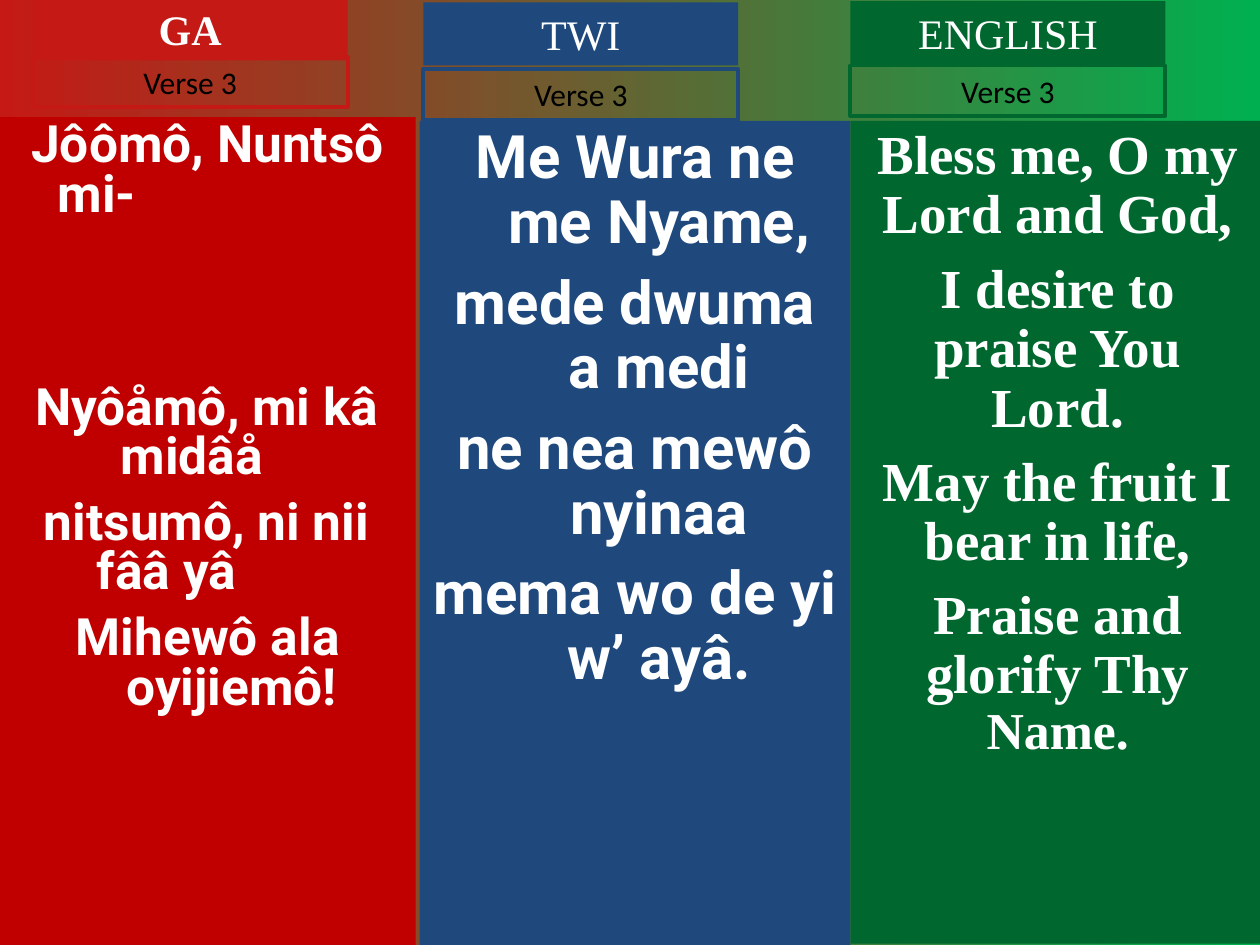
from dataclasses import dataclass

from pptx import Presentation
from pptx.dml.color import RGBColor
from pptx.enum.shapes import MSO_SHAPE
from pptx.enum.text import MSO_ANCHOR, PP_ALIGN
from pptx.util import Inches, Pt

RECTANGLE = MSO_SHAPE.RECTANGLE
TOP = MSO_ANCHOR.TOP
CENTER, LEFT = PP_ALIGN.CENTER, PP_ALIGN.LEFT


@dataclass(frozen=True)
class Theme:
    white: str = "FFFFFF"
    black: str = "000000"
    red: str = "C00000"
    label_red: str = "C51915"
    blue: str = "1F497D"
    green: str = "00682F"
    bright_green: str = "00B050"
    sans: str = "Roboto"
    serif: str = "Times New Roman"
    caption: str = "Calibri"
    heading_size: float = 24
    verse_size: float = 18
    border: float = 2.25


THEME = Theme()
LABEL_WIDTH, HEADING_HEIGHT, VERSE_HEIGHT = 2.5, 0.5, 0.4
HANG = 0.38


@dataclass
class Line:
    """One sung line: text, its wrapped-line margin and first-line start."""
    text: str
    margin: float = 0
    start: float = 0
    align: PP_ALIGN = CENTER
    before: float = None
    ending: str = ""
    ending_size: float = None


LANGUAGES = [
    dict(
        name="GA", bold=True, box=(0, 0.93, 3.3, 6.57),
        label_left=0.26, heading_top=-0.02, verse_top=0.45,
        fill=THEME.red, label=THEME.label_red,
        font=THEME.sans, size=29.4, spacing=0.8, before=9.5,
        lines=[
            Line("Jôômô, Nuntsô mi-", 0.36, 0.15, LEFT),
            Line("Nyôåmô, mi kâ midâå", 0.86, 0.18, LEFT, before=93.5),
            Line("nitsumô, ni nii fââ yâ", 0.67, 0.25, LEFT),
            Line("Mihewô ala oyijiemô!", HANG),
        ],
    ),
    dict(
        name="TWI", bold=False, box=(3.33, 0.96, 3.42, 6.54),
        label_left=3.36, heading_top=0.02, verse_top=0.55,
        fill=THEME.blue, label=THEME.blue,
        font=THEME.sans, size=34.2, spacing=0.9, before=9.2,
        lines=[
            Line("Me Wura ne me Nyame,", HANG),
            Line("mede dwuma a medi", HANG),
            Line("ne nea mewô nyinaa", HANG),
            Line("mema wo de yi w’ ayâ.", HANG),
        ],
    ),
    dict(
        name="ENGLISH", bold=False, box=(6.75, 0.96, 3.29, 6.53),
        label_left=6.75, heading_top=0.01, verse_top=0.52,
        fill=THEME.green, label=THEME.green,
        font=THEME.serif, size=31.4, spacing=0.9, before=8.5,
        lines=[
            Line("Bless me, O my Lord and God,"),
            Line("I desire to praise You Lord."),
            Line("May the fruit I bear in life,"),
            Line("Praise and glorify Thy ", before=8,
                 ending="Name.", ending_size=29.6),
        ],
    ),
]


def add_panel(slide, box, fill=None, border=None):
    """Add a rectangle and return its text frame."""
    panel = slide.shapes.add_shape(RECTANGLE, *map(Inches, box))
    panel.shadow.inherit = False
    if fill:
        panel.fill.solid()
        panel.fill.fore_color.rgb = RGBColor.from_string(fill)
    else:
        panel.fill.background()
    if border:
        panel.line.color.rgb = RGBColor.from_string(border)
        panel.line.width = Pt(THEME.border)
    else:
        panel.line.fill.background()
    frame = panel.text_frame
    frame.word_wrap = True
    frame.vertical_anchor = TOP
    return frame


def add_run(paragraph, text, color, **font_format):
    run = paragraph.add_run()
    run.text = text
    run.font.color.rgb = RGBColor.from_string(color)
    for attribute, value in font_format.items():
        setattr(run.font, attribute, value)


def add_label(slide, box, text, color, fill=None, border=None, **font_format):
    paragraph = add_panel(slide, box, fill, border).paragraphs[0]
    paragraph.alignment = CENTER
    add_run(paragraph, text, color, **font_format)


def add_lyrics(slide, language):
    frame = add_panel(slide, language["box"], language["fill"])
    for number, line in enumerate(language["lines"]):
        paragraph = frame.add_paragraph() if number else frame.paragraphs[0]
        paragraph.alignment = line.align
        paragraph.line_spacing = language["spacing"]
        paragraph.space_before = Pt((line.before or language["before"]) if number else 0)
        properties = paragraph._p.get_or_add_pPr()
        properties.set("marL", str(Inches(line.margin)))
        properties.set("indent", str(Inches(line.start - line.margin)))
        style = dict(name=language["font"], bold=True)
        add_run(paragraph, line.text, THEME.white, size=Pt(language["size"]), **style)
        if line.ending:
            add_run(paragraph, line.ending, THEME.white, size=Pt(line.ending_size), **style)


def add_language(slide, language):
    """Place one language column: lyrics, heading and verse label."""
    add_lyrics(slide, language)
    left = language["label_left"]
    add_label(slide, (left, language["heading_top"], LABEL_WIDTH, HEADING_HEIGHT),
              language["name"], THEME.white, fill=language["label"],
              name=THEME.serif, size=Pt(THEME.heading_size), bold=language["bold"])
    add_label(slide, (left, language["verse_top"], LABEL_WIDTH, VERSE_HEIGHT),
              "Verse 3", THEME.black, border=language["label"],
              name=THEME.caption, size=Pt(THEME.verse_size))


def paint_background(slide):
    fill = slide.background.fill
    fill.gradient()
    fill.gradient_angle = 0
    for stop, color in zip(fill.gradient_stops, (THEME.label_red, THEME.bright_green)):
        stop.color.rgb = RGBColor.from_string(color)


def main():
    presentation = Presentation()
    presentation.slide_width, presentation.slide_height = Inches(10), Inches(7.5)
    slide = presentation.slides.add_slide(presentation.slide_layouts.get_by_name("Blank"))
    paint_background(slide)
    for language in LANGUAGES:
        add_language(slide, language)
    presentation.save("out.pptx")


if __name__ == "__main__":
    main()
